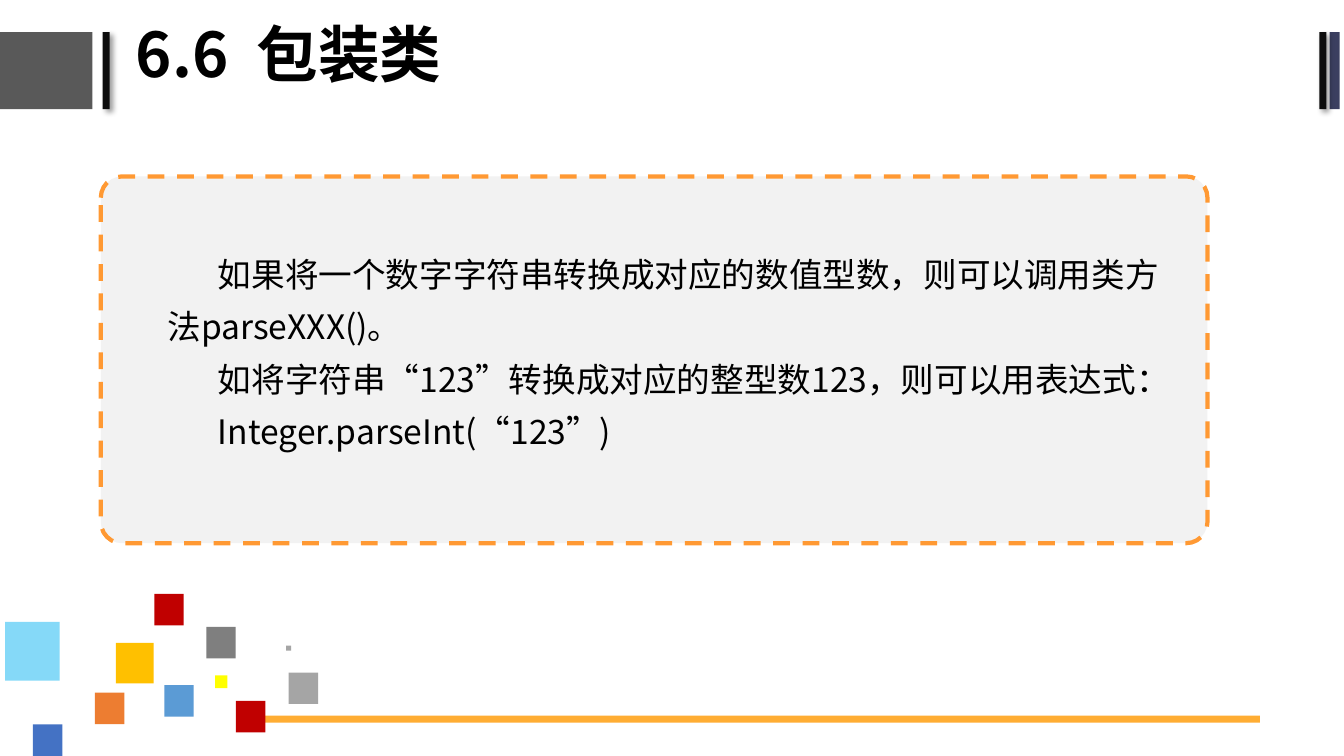
from lxml import etree
from pptx import Presentation
from pptx.dml.color import RGBColor
from pptx.enum.dml import MSO_LINE
from pptx.enum.shapes import MSO_SHAPE
from pptx.enum.text import MSO_ANCHOR
from pptx.oxml.ns import qn
from pptx.util import Pt

RECTANGLE = MSO_SHAPE.RECTANGLE
ROUNDED = MSO_SHAPE.ROUNDED_RECTANGLE
DASH = MSO_LINE.DASH
TOP = MSO_ANCHOR.TOP
MIDDLE = MSO_ANCHOR.MIDDLE


def color(value):
    return RGBColor.from_string(value)


class SlideBuilder:
    """Draws styled elements on one slide, with lengths in points."""

    font = "Noto Sans CJK SC"
    ink = "000000"

    def __init__(self, slide):
        self.slide = slide

    def block(self, left, top, width, height, fill, kind=RECTANGLE):
        shape = self.slide.shapes.add_shape(
            kind, Pt(left), Pt(top), Pt(width), Pt(height))
        shape.shadow.inherit = False
        shape.fill.solid()
        shape.fill.fore_color.rgb = color(fill)
        shape.line.fill.background()
        return shape

    def shadowed_bar(self, left, top, width, height, fill):
        shape = self.block(left, top, width, height, fill)
        effects = shape._element.spPr.find(qn("a:effectLst"))
        shadow = etree.SubElement(
            effects, qn("a:outerShdw"), blurRad=str(Pt(4)), dist=str(Pt(3)),
            dir="2700000", algn="tl", rotWithShape="0")
        shade = etree.SubElement(shadow, qn("a:srgbClr"), val=self.ink)
        etree.SubElement(shade, qn("a:alpha"), val="40000")

    def translucent_bar(self, left, top, width, height, fill, opacity):
        shape = self.block(left, top, width, height, fill)
        shade = shape._element.spPr.find(qn("a:solidFill")).find(qn("a:srgbClr"))
        etree.SubElement(shade, qn("a:alpha"), val=str(opacity * 1000))

    def dashed_panel(self, left, top, width, height, fill, line, radius):
        shape = self.block(left, top, width, height, fill, ROUNDED)
        shape.adjustments[0] = radius
        shape.line.color.rgb = color(line)
        shape.line.width = Pt(3)
        shape.line.dash_style = DASH

    def text(self, left, top, width, height, content, size, spacing,
             bold=False, indent=0, anchor=TOP, margins=(7.2, 3.6)):
        box = self.slide.shapes.add_textbox(
            Pt(left), Pt(top), Pt(width), Pt(height))
        frame = box.text_frame
        frame.word_wrap = True
        frame.vertical_anchor = anchor
        frame.margin_left = frame.margin_right = Pt(margins[0])
        frame.margin_top = frame.margin_bottom = Pt(margins[1])
        frame.text = content
        for paragraph in frame.paragraphs:
            paragraph.line_spacing = spacing
            properties = paragraph._p.get_or_add_pPr()
            properties.set("marL", "0")
            properties.set("indent", str(Pt(indent)))
            for run in paragraph.runs:
                run.font.size = Pt(size)
                run.font.bold = bold
                run.font.color.rgb = color(self.ink)
                run.font.name = self.font
                etree.SubElement(
                    run._r.get_or_add_rPr(), qn("a:ea"), typeface=self.font)


def main():
    presentation = Presentation()
    presentation.slide_width = Pt(960)
    presentation.slide_height = Pt(540)
    slide = presentation.slides.add_slide(presentation.slide_layouts[6])
    builder = SlideBuilder(slide)

    header_top, header_height = 23, 55
    builder.block(-1.5, header_top, 67.5, header_height, "595959")
    builder.shadowed_bar(73.4, header_top, 5, header_height, "0D0D0D")
    builder.block(949.7, header_top, 7.2, header_height, "3B3F60")
    builder.shadowed_bar(942.5, header_top, 5, header_height, "0D0D0D")
    builder.text(90, 1.5, 610, 79, "6.6  包装类", 44, 0.9,
                 bold=True, anchor=MIDDLE)

    builder.dashed_panel(72, 126, 790.5, 262, "F2F2F2", "FF9933", 0.058)
    explanation = "\n".join([
        "如果将一个数字字符串转换成对应的数值型数，则可以调用类方法parseXXX()。",
        "如将字符串“123”转换成对应的整型数123，则可以用表达式：",
        "Integer.parseInt(“123”)",
    ])
    builder.text(110.2, 167.8, 740, 192, explanation, 24, 1.3,
                 indent=36, margins=(9.4, 5))

    builder.translucent_bar(186.5, 511.2, 713.5, 5, "FF9900", 80)
    small = (21, 22.5)
    squares = [
        (3.6, 444.2, 39, 42, "85D9F8"),
        (67.8, 494.8, *small, "ED7D31"),
        (82.8, 459.2, 27, 29, "FFC000"),
        (117.4, 489.4, *small, "5B9BD5"),
        (204.4, 461.1, 3.6, 3.6, "A5A5A5"),
        (23.5, 517.5, *small, "4472C4"),
        (153.6, 482.4, 8.8, 9.2, "FFFF00"),
        (206.2, 480.4, *small, "A5A5A5"),
        (168.5, 500.6, *small, "C00000"),
        (147.4, 447.8, *small, "7F7F7F"),
        (110.2, 424.2, *small, "C00000"),
    ]
    for square in squares:
        builder.block(*square)

    presentation.save("out.pptx")


if __name__ == "__main__":
    main()
